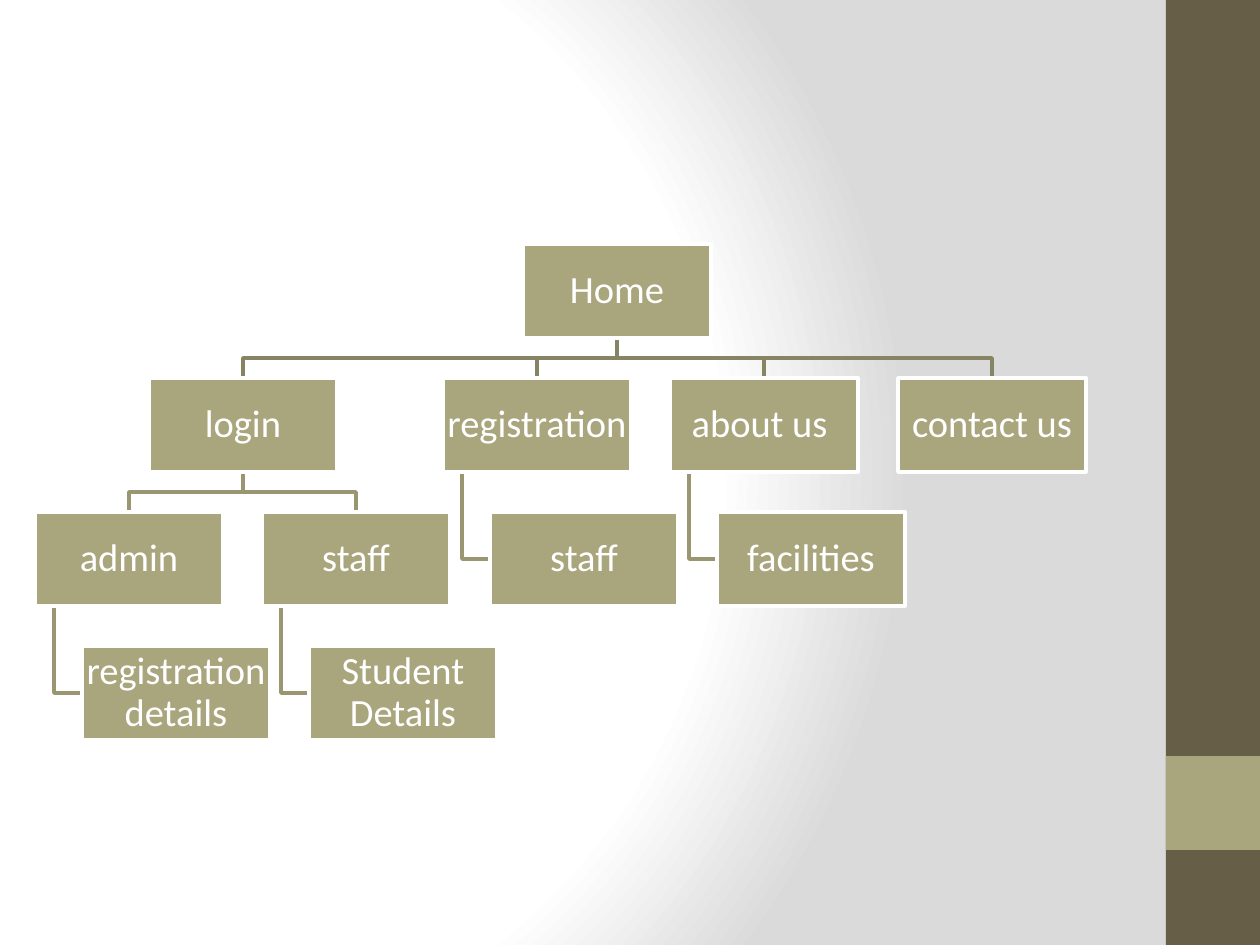
from dataclasses import dataclass
from typing import Optional

from pptx import Presentation
from pptx.dml.color import RGBColor
from pptx.enum.shapes import MSO_SHAPE
from pptx.enum.text import MSO_ANCHOR, PP_ALIGN
from pptx.oxml import parse_xml
from pptx.oxml.ns import nsdecls
from pptx.util import Inches, Pt

RECT = MSO_SHAPE.RECTANGLE
MIDDLE = MSO_ANCHOR.MIDDLE
CENTER = PP_ALIGN.CENTER
PX = 914400 / 126  # EMU in one pixel

# Chart grid, in pixels
BOX_W, BOX_H = 188, 94
TOP, PITCH = 244, 134
INDENT, STEM = 47, 19


@dataclass(frozen=True)
class Theme:
    font: str = "Calibri"
    size: int = 22
    line: int = 2
    white: str = "FFFFFF"
    gray: str = "DADADA"
    brown: str = "675E47"
    olive: str = "A9A57C"
    branch: str = "878463"
    twig: str = "999671"


@dataclass(frozen=True)
class Node:
    text: str
    row: int
    col: int = 0
    boss: Optional["Node"] = None
    hang: bool = False

    @property
    def left(self) -> int:
        return self.boss.left + INDENT if self.hang else self.col

    @property
    def top(self) -> int:
        return TOP + self.row * PITCH

    @property
    def mid(self) -> int:
        return self.left + BOX_W // 2


THEME = Theme()
HOME = Node("Home", 0, 523)
LOGIN = Node("login", 1, 149, HOME)
SIGNUP = Node("registration", 1, 443, HOME)
ABOUT = Node("about us ", 1, 670, HOME)
CONTACT = Node("contact us", 1, 898, HOME)
ADMIN = Node("admin", 2, 35, LOGIN)
STAFF = Node("staff", 2, 262, LOGIN)
NODES = [
    HOME, LOGIN, SIGNUP, ABOUT, CONTACT, ADMIN, STAFF,
    Node("staff", 2, boss=SIGNUP, hang=True),
    Node("facilities", 2, boss=ABOUT, hang=True),
    Node("registration details", 3, boss=ADMIN, hang=True),
    Node("Student Details", 3, boss=STAFF, hang=True),
]


def emu(px: float) -> int:
    return round(px * PX)


def paint(slide) -> None:
    """Set the round gradient behind the slide."""
    stops = [(0, THEME.white), (75, THEME.white), (100, THEME.gray)]
    marks = "".join(
        f'<a:gs pos="{pos * 1000}"><a:srgbClr val="{color}"/></a:gs>'
        for pos, color in stops
    )
    slide.element.cSld.insert(0, parse_xml(
        f'<p:bg {nsdecls("p", "a")}><p:bgPr><a:gradFill rotWithShape="1">'
        f'<a:gsLst>{marks}</a:gsLst><a:path path="circle">'
        '<a:fillToRect l="20000" t="50000" r="100000" b="50000"/></a:path>'
        '</a:gradFill><a:effectLst/></p:bgPr></p:bg>'
    ))


def block(slide, left: int, top: int, width: int, height: int,
          color: str, edge: Optional[str] = None):
    shape = slide.shapes.add_shape(RECT, *map(emu, (left, top, width, height)))
    shape.shadow.inherit = False
    shape.fill.solid()
    shape.fill.fore_color.rgb = RGBColor.from_string(color)
    if edge:
        shape.line.color.rgb = RGBColor.from_string(edge)
        shape.line.width = Pt(THEME.line)
    else:
        shape.line.fill.background()
    return shape


def write(shape, text: str, *, size: int = THEME.size,
          color: str = THEME.white, inset: int = 2) -> None:
    frame = shape.text_frame
    frame.word_wrap = True
    frame.vertical_anchor = MIDDLE
    frame.margin_left = frame.margin_right = emu(inset)
    frame.margin_top = frame.margin_bottom = emu(inset)
    para = frame.paragraphs[0]
    para.alignment = CENTER
    para.line_spacing = 0.9
    run = para.add_run()
    run.text = text
    run.font.name = THEME.font
    run.font.size = Pt(size)
    run.font.color.rgb = RGBColor.from_string(color)


def link(slide, node: Node) -> None:
    """Draw the bent line from a node's boss down to the node."""
    boss = node.boss
    base = boss.top + BOX_H
    if node.hang:
        x, y = boss.left + STEM, node.top + BOX_H // 2
        points = [(x, base), (x, y), (node.left, y)]
    else:
        y = (base + node.top) // 2
        points = [(boss.mid, base), (boss.mid, y), (node.mid, y),
                  (node.mid, node.top)]
    pen = slide.shapes.build_freeform(*points[0], scale=PX)
    pen.add_line_segments(points[1:], close=False)
    shape = pen.convert_to_shape()
    shape.shadow.inherit = False
    shape.fill.background()
    color = THEME.branch if node.row == 1 else THEME.twig
    shape.line.color.rgb = RGBColor.from_string(color)
    shape.line.width = Pt(THEME.line)


def main() -> None:
    deck = Presentation()
    deck.slide_width, deck.slide_height = Inches(10), Inches(7.5)
    slide = deck.slides.add_slide(deck.slide_layouts[6])

    # Background and side band
    paint(slide)
    block(slide, 1166, 0, 94, 945, THEME.brown)
    block(slide, 1166, 756, 94, 94, THEME.olive)

    # Links lie below the boxes
    for node in NODES:
        if node.boss:
            link(slide, node)
    for node in NODES:
        box = block(slide, node.left, node.top, BOX_W, BOX_H,
                    THEME.olive, THEME.white)
        write(box, node.text)

    deck.save("out.pptx")


main()
